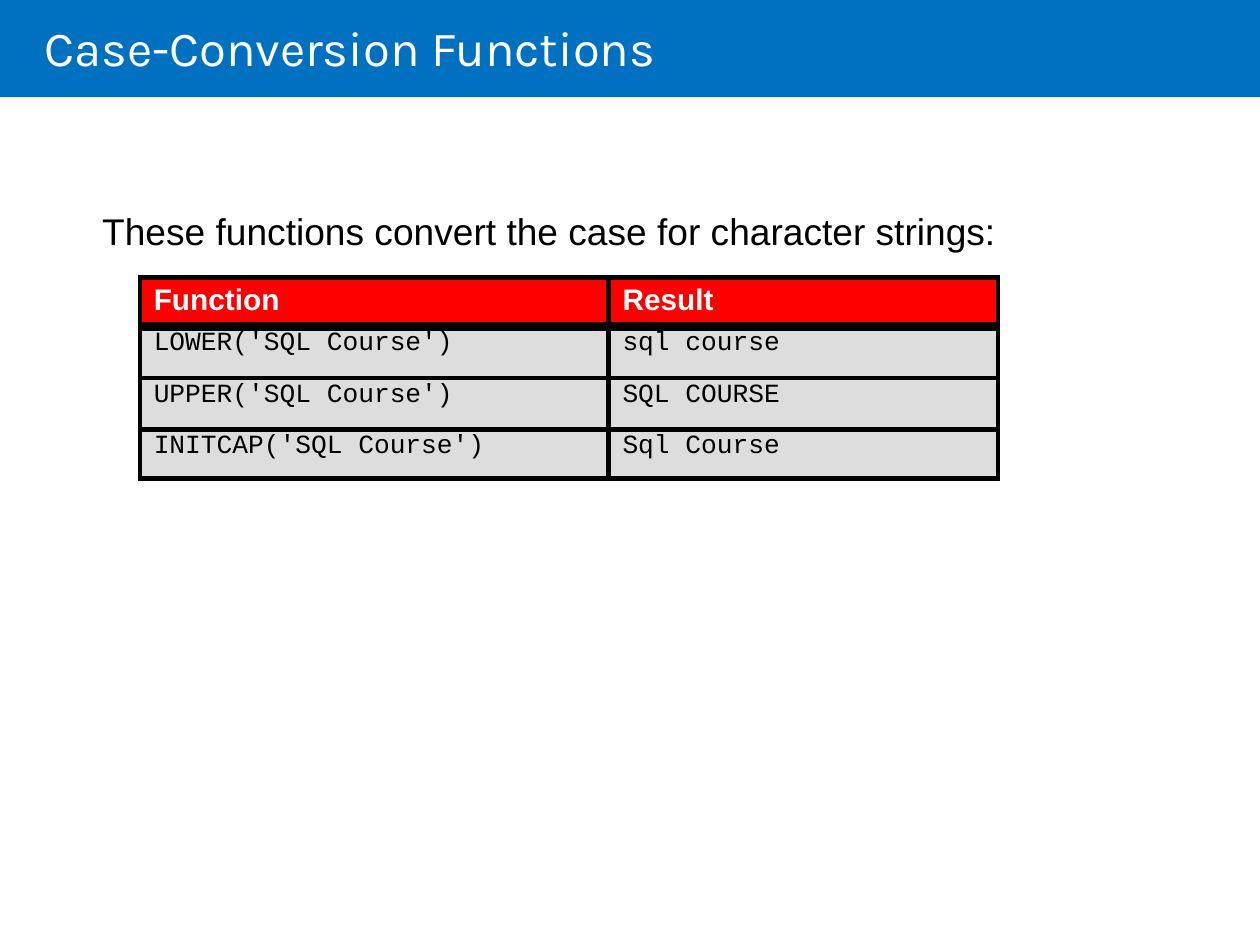
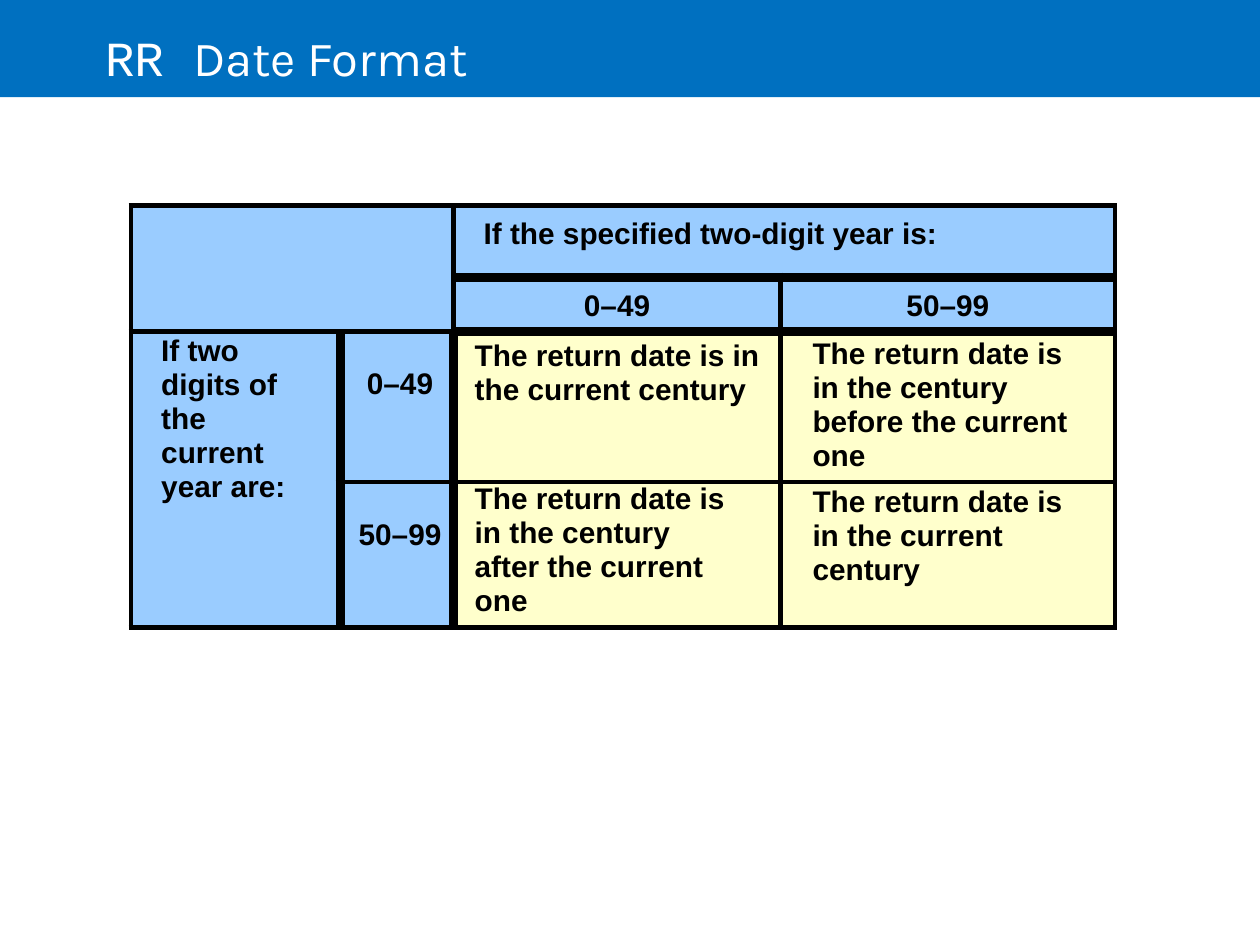
"""Build two slides on SQL case functions and the RR date format."""
from pptx import Presentation
from pptx.dml.color import RGBColor
from pptx.enum.shapes import MSO_SHAPE
from pptx.enum.text import MSO_ANCHOR, PP_ALIGN
from pptx.oxml import parse_xml
from pptx.oxml.ns import nsdecls
from pptx.util import Cm, Pt


class Theme:
    blue = RGBColor.from_string("0070C0")
    white = RGBColor.from_string("FFFFFF")
    black = RGBColor.from_string("000000")
    red = RGBColor.from_string("FF0000")
    grey = RGBColor.from_string("DDDDDD")
    sky = RGBColor.from_string("9ACCFF")
    cream = RGBColor.from_string("FFFFCC")
    title, lead, label, code = Pt(28), Pt(21.2), Pt(17), Pt(15)
    head, sans, mono = "Karla", "Arial", "Courier New"
    thin, thick = Pt(3), Pt(6)


def style(font, name, size, color, bold=False):
    font.name, font.size, font.bold = name, size, bold
    font.color.rgb = color


def grid(slide, left, top, cols, rows, flat=(), tall=()):
    width, height = Cm(sum(cols)), Cm(sum(rows))
    frame = slide.shapes.add_table(len(rows), len(cols), Cm(left), Cm(top), width, height)
    table = frame.table
    table.first_row = table.horz_banding = False
    for col, size in zip(table.columns, cols):
        col.width = Cm(size)
    for row, size in zip(table.rows, rows):
        row.height = Cm(size)
    for r in range(len(rows)):
        for c in range(len(cols)):
            cell = table.cell(r, c)
            cell.margin_right = cell.margin_bottom = 0
            heavy = {"L": (r, c) in tall, "R": (r, c + 1) in tall,
                     "T": (r, c) in flat, "B": (r + 1, c) in flat}
            for side, wide in heavy.items():
                line = Theme.thick if wide else Theme.thin
                cell._tc.get_or_add_tcPr().append(parse_xml(
                    f'<a:ln{side} {nsdecls("a")} w="{line}"><a:solidFill>'
                    f'<a:srgbClr val="{Theme.black}"/></a:solidFill></a:ln{side}>'))
    return table


deck = Presentation()
deck.slide_width, deck.slide_height = Cm(25.4), Cm(19.05)

titles = [
    (0.9, 0.33, 17.73, [("Case-Conversion Functions", Theme.head)]),
    (2.12, 0.53, 21, [("RR ", Theme.mono), ("Date Format", Theme.head)]),
]
slides = []
for left, top, width, runs in titles:
    slide = deck.slides.add_slide(deck.slide_layouts[6])
    band = slide.shapes.add_shape(MSO_SHAPE.RECTANGLE, 0, 0, deck.slide_width, Cm(1.96))
    band.shadow.inherit = False
    band.fill.solid()
    band.fill.fore_color.rgb = Theme.blue
    band.line.fill.background()
    frame = slide.shapes.add_textbox(Cm(left), Cm(top), Cm(width), Cm(1.22)).text_frame
    frame.word_wrap = True
    frame.vertical_anchor = MSO_ANCHOR.MIDDLE
    frame.margin_left = frame.margin_right = frame.margin_bottom = 0
    frame.margin_top = Cm(0.03)
    for text, face in runs:
        run = frame.paragraphs[0].add_run()
        run.text = text
        style(run.font, face, Theme.title, Theme.white)
    slides.append(slide)
cases, dates = slides

frame = cases.shapes.add_textbox(Cm(2.03), Cm(4.17), Cm(18.4), Cm(0.94)).text_frame
frame.word_wrap = True
frame.margin_left = frame.margin_top = Cm(0.03)
frame.margin_right = frame.margin_bottom = 0
lead = frame.paragraphs[0]
lead.text = "These functions convert the case for character strings:"
style(lead.font, Theme.sans, Theme.lead, Theme.black)

calls = [
    ("Function", "Result"),
    ("LOWER('SQL Course')", "sql course"),
    ("UPPER('SQL Course')", "SQL COURSE"),
    ("INITCAP('SQL Course')", "Sql Course"),
]
table = grid(cases, 2.82, 5.59, [9.45, 7.85], [0.99, 1.04, 1.04, 0.99],
             flat=[(1, 0), (1, 1)])
for r, row in enumerate(calls):
    for c, text in enumerate(row):
        cell = table.cell(r, c)
        cell.fill.solid()
        cell.fill.fore_color.rgb = Theme.grey if r else Theme.red
        cell.margin_left = Cm(0.28)
        cell.margin_top = Cm(0.05 if r else 0.13)
        para = cell.text_frame.paragraphs[0]
        para.text = text
        if r:
            style(para.font, Theme.mono, Theme.code, Theme.black)
        else:
            style(para.font, Theme.sans, Theme.label, Theme.white, True)

table = grid(dates, 2.64, 4.14, [4.22, 2.28, 6.6, 6.74], [1.45, 1.09, 2.34, 2.26],
             flat=[(r, c) for r in (1, 2) for c in (2, 3)],
             tall=[(r, c) for r in (2, 3) for c in (1, 2)])
for first, last in [((0, 0), (1, 1)), ((0, 2), (0, 3)), ((2, 0), (3, 0))]:
    table.cell(*first).merge(table.cell(*last))
for r in range(4):
    for c in range(4):
        fill = table.cell(r, c).fill
        fill.solid()
        fill.fore_color.rgb = Theme.cream if r > 1 and c > 1 else Theme.sky

mid, near = PP_ALIGN.CENTER, PP_ALIGN.LEFT
years = [
    (0, 2, 0.61, 0.25, 0, near, "If the specified two-digit year is:"),
    (1, 2, 0, 0.25, 0, mid, "0–49"),
    (1, 3, 0, 0.25, 0, mid, "50–99"),
    (2, 0, 0.61, 0.05, 0.76, near, "If two digits of the current year are:"),
    (2, 1, 0.13, 0.73, 0, mid, "0–49"),
    (3, 1, 0.13, 0.73, 0, mid, "50–99"),
    (2, 2, 0.43, 0.15, 0, near, "The return date is in the current century"),
    (2, 3, 0.64, 0.1, 0.5, near, "The return date is in the century before the current one"),
    (3, 2, 0.43, 0, 0.89, near, "The return date is in the century after the current one"),
    (3, 3, 0.64, 0.05, 0.5, near, "The return date is in the current century"),
]
for r, c, left, top, right, align, text in years:
    cell = table.cell(r, c)
    cell.margin_left, cell.margin_top, cell.margin_right = Cm(left), Cm(top), Cm(right)
    para = cell.text_frame.paragraphs[0]
    para.text = text
    para.alignment = align
    if r > 1 and align == near:
        para.line_spacing = 1.02
    style(para.font, Theme.sans, Theme.label, Theme.black, True)

deck.save("out.pptx")
